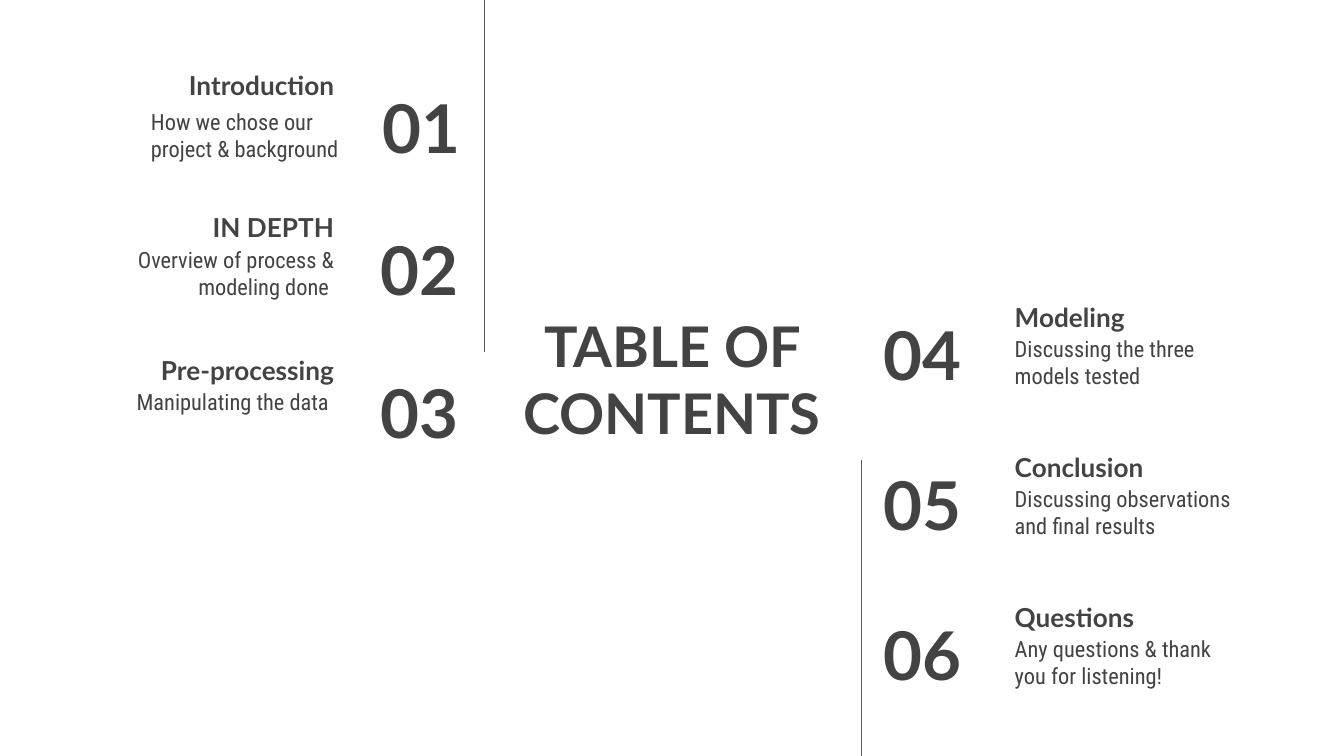
from collections import namedtuple
from dataclasses import dataclass

from lxml.etree import SubElement
from pptx import Presentation
from pptx.dml.color import RGBColor
from pptx.enum.shapes import MSO_CONNECTOR
from pptx.enum.text import MSO_ANCHOR as Anchor, PP_ALIGN as Align
from pptx.oxml.ns import qn
from pptx.util import Inches, Pt

Box = namedtuple("Box", "left top width height")
Entry = namedtuple("Entry", "number heading summary")


@dataclass(frozen=True)
class Theme:
    ink: RGBColor = RGBColor.from_string("434343")
    rule: RGBColor = RGBColor.from_string("595959")
    rule_width: Pt = Pt(0.75)
    title = {"name": "Lato", "size": Pt(30), "bold": True}
    number = {"name": "Lato", "size": Pt(36), "bold": True}
    heading = {"name": "Lato", "size": Pt(14), "bold": True}
    summary = {"name": "Roboto Condensed", "size": Pt(12), "bold": False}


THEME = Theme()
COLUMNS, ROWS = 100, 56.25
CELL = Inches(0.1)
LABEL_ROWS = 6.3
HEADING_COLUMNS, SUMMARY_COLUMNS = 21.6, 18.3
SUMMARY_DROP = 4.5

LEFT_ENTRIES = [
    Entry("01", "Introduction", "How we chose our project & background"),
    Entry("02", "IN DEPTH", "Overview of process & modeling done "),
    Entry("03", "Pre-processing", "Manipulating the data "),
]
RIGHT_ENTRIES = [
    Entry("04", "Modeling", "Discussing the three models tested"),
    Entry("05", "Conclusion", "Discussing observations and final results"),
    Entry("06", "Questions", "Any questions & thank you for listening!"),
]


def cells(count):
    return round(count * CELL)


def add_text(page, box, text, style, align, anchor=Anchor.MIDDLE):
    frame = page.shapes.add_textbox(*map(cells, box)).text_frame
    margins = dict.fromkeys(
        ("margin_left", "margin_top", "margin_right", "margin_bottom"), CELL)
    for name, value in {"word_wrap": True, "vertical_anchor": anchor, **margins}.items():
        setattr(frame, name, value)
    para = frame.paragraphs[0]
    para.alignment = align
    span = para.add_run()
    span.text = text
    for name, value in style.items():
        setattr(span.font, name, value)
    span.font.color.rgb = THEME.ink


def add_rule(page, column, top, bottom):
    rule = page.shapes.add_connector(
        MSO_CONNECTOR.STRAIGHT, *map(cells, (column, top, column, bottom)))
    rule.line.color.rgb = THEME.rule
    rule.line.width = THEME.rule_width
    SubElement(rule._element.spPr, qn("a:effectLst"))


def add_left_entry(page, box, entry, is_first):
    """Text is flush right beside the number; the first summary is flush left."""
    right = box.left + HEADING_COLUMNS
    add_text(page, Box(box.left, box.top, HEADING_COLUMNS, LABEL_ROWS),
             entry.heading, THEME.heading, Align.RIGHT, Anchor.BOTTOM)
    shift, drop = (2.7, 0.35) if is_first else (0, 0)
    add_text(page, Box(right - SUMMARY_COLUMNS + shift, box.top + SUMMARY_DROP + drop,
                       SUMMARY_COLUMNS, LABEL_ROWS),
             entry.summary, THEME.summary,
             Align.LEFT if is_first else Align.RIGHT, Anchor.TOP)
    number_left = box.left + box.width - 12.1 + (0.15 if is_first else 0)
    add_text(page, Box(number_left, box.top + 4.05, 12.1, LABEL_ROWS),
             entry.number, THEME.number, Align.RIGHT)


def add_right_entry(page, box, entry, is_first):
    text_left = box.left + box.width - HEADING_COLUMNS
    add_text(page, Box(box.left, box.top + 3.75, 11.7, LABEL_ROWS),
             entry.number, THEME.number, Align.LEFT)
    add_text(page, Box(text_left, box.top, HEADING_COLUMNS, LABEL_ROWS),
             entry.heading, THEME.heading, Align.LEFT, Anchor.BOTTOM)
    add_text(page, Box(text_left, box.top + SUMMARY_DROP, SUMMARY_COLUMNS, LABEL_ROWS),
             entry.summary, THEME.summary, Align.LEFT, Anchor.TOP)


def add_entries(page, box, entries, add_entry):
    pitch = box.height / len(entries)
    for index, entry in enumerate(entries):
        row = Box(box.left, box.top + index * pitch, box.width, pitch)
        add_entry(page, row, entry, index == 0)


def add_contents_page(deck):
    page = deck.slides.add_slide(deck.slide_layouts[6])
    add_text(page, Box(37.05, 23, 25.9, 10.3), "TABLE OF CONTENTS", THEME.title, Align.CENTER)
    add_entries(page, Box(4.25, 2.2, 30.85, 31.8), LEFT_ENTRIES, add_left_entry)
    add_entries(page, Box(64.75, 19.45, 31.37, 33.45), RIGHT_ENTRIES, add_right_entry)
    add_rule(page, 36.07, 0, 26.2)
    add_rule(page, 64.1, 34.25, ROWS)


def main():
    deck = Presentation()
    deck.slide_width, deck.slide_height = cells(COLUMNS), cells(ROWS)
    add_contents_page(deck)
    deck.save("out.pptx")


if __name__ == "__main__":
    main()
